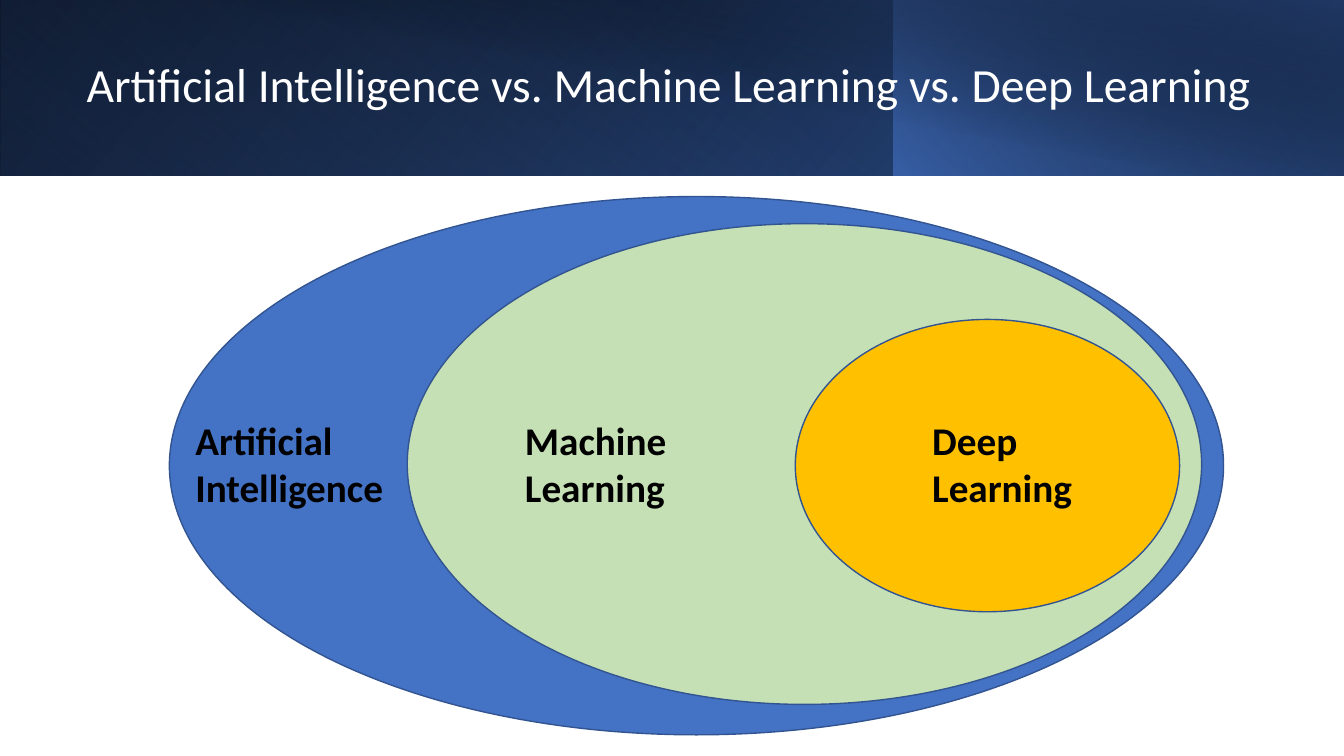
"""Build a slide that nests deep learning in machine learning in artificial intelligence."""
from dataclasses import dataclass

import lxml.etree
import pptx
import pptx.dml.color
import pptx.enum.shapes
import pptx.enum.text
import pptx.oxml.ns
import pptx.util

Pt = pptx.util.Pt
RGB = pptx.dml.color.RGBColor.from_string
qn = pptx.oxml.ns.qn
SHAPES = pptx.enum.shapes.MSO_SHAPE


@dataclass(frozen=True)
class Theme:
    """Colours, font and type sizes."""
    font: str = "Calibri"
    title_size: int = 34
    label_size: int = 28
    white: str = "FFFFFF"
    black: str = "000000"
    blue: str = "4472C4"
    mid_blue: str = "2F5597"
    navy: str = "203864"
    green: str = "C5E0B4"
    amber: str = "FFC000"
    outline: str = "325491"


T = Theme()
TITLE = "Artificial Intelligence vs. Machine Learning vs. Deep Learning"
TITLE_BOX = (54.7, 21.6, 851, 81.4)
BAND_HEIGHT = 125.6
BANDS = [
    dict(left=0, width=960, flip=True, turn=0, angle=140,
         stops=[(0, T.black, 100), (100, T.mid_blue, 100)]),
    dict(left=0, width=639.4, flip=True, turn=180, angle=230,
         stops=[(20, T.blue, 0), (100, T.navy, 55)]),
    dict(left=638.6, width=321.4, flip=True, turn=0, angle=220,
         stops=[(0, T.blue, 66), (100, T.black, 30)]),
    dict(left=36, width=924, flip=False, turn=0, angle=280,
         stops=[(50, T.black, 0), (99, T.navy, 52)]),
]
ELLIPSES = [
    ((121, 140.4, 753, 384.5), T.blue),
    ((290.9, 159.8, 567.4, 343.4), T.green),
    ((568.1, 228.2, 274.5, 208.8), T.amber),
]
LABEL_TOP, LABEL_HEIGHT = 293.8, 75
LABELS = [
    ("Artificial Intelligence", 132.5, 150.5),
    ("Machine Learning", 367.9, 150.5),
    ("Deep Learning", 658.8, 118.8),
]


def points(box):
    return [Pt(v) for v in box]


def style(p, size, color, bold=False):
    p.font.name = T.font
    p.font.size = Pt(size)
    p.font.bold = bold
    p.font.color.rgb = RGB(color)


def add_band(slide, left, width, flip, turn, angle, stops):
    s = slide.shapes.add_shape(SHAPES.RECTANGLE, *points((left, 0, width, BAND_HEIGHT)))
    s.shadow.inherit = False
    s.line.fill.background()
    s.rotation = turn
    s.fill.gradient()
    s.fill.gradient_angle = 360 - angle
    for stop, (position, color, _) in zip(s.fill.gradient_stops, stops):
        stop.position = position / 100
        stop.color.rgb = RGB(color)
    props = s._element.spPr
    for clr, (_, _, opacity) in zip(props.iter(qn("a:srgbClr")), stops):
        lxml.etree.SubElement(clr, qn("a:alpha")).set("val", str(opacity * 1000))
    if flip:
        props.find(qn("a:xfrm")).set("flipH", "1")


def add_title(slide):
    s = slide.shapes.title
    slide.shapes._spTree.append(s._element)
    s.left, s.top, s.width, s.height = points(TITLE_BOX)
    tf = s.text_frame
    tf.text = TITLE
    tf.word_wrap = True
    tf.auto_size = pptx.enum.text.MSO_AUTO_SIZE.NONE
    tf.vertical_anchor = pptx.enum.text.MSO_ANCHOR.MIDDLE
    p = tf.paragraphs[0]
    p.alignment = pptx.enum.text.PP_ALIGN.LEFT
    p.line_spacing = 0.9
    style(p, T.title_size, T.white)


def add_ellipse(slide, box, color):
    s = slide.shapes.add_shape(SHAPES.OVAL, *points(box))
    s.shadow.inherit = False
    s.fill.solid()
    s.fill.fore_color.rgb = RGB(color)
    s.line.color.rgb = RGB(T.outline)
    s.line.width = Pt(1)


def add_label(slide, text, left, width):
    s = slide.shapes.add_textbox(*points((left, LABEL_TOP, width, LABEL_HEIGHT)))
    tf = s.text_frame
    tf.text = text
    tf.word_wrap = True
    tf.auto_size = pptx.enum.text.MSO_AUTO_SIZE.SHAPE_TO_FIT_TEXT
    style(tf.paragraphs[0], T.label_size, T.black, bold=True)


def main():
    prs = pptx.Presentation()
    prs.slide_width, prs.slide_height = Pt(960), Pt(540)
    slide = prs.slides.add_slide(prs.slide_layouts.get_by_name("Title Only"))
    for band in BANDS:
        add_band(slide, **band)
    add_title(slide)
    for box, color in ELLIPSES:
        add_ellipse(slide, box, color)
    for text, left, width in LABELS:
        add_label(slide, text, left, width)
    prs.save("out.pptx")


if __name__ == "__main__":
    main()
